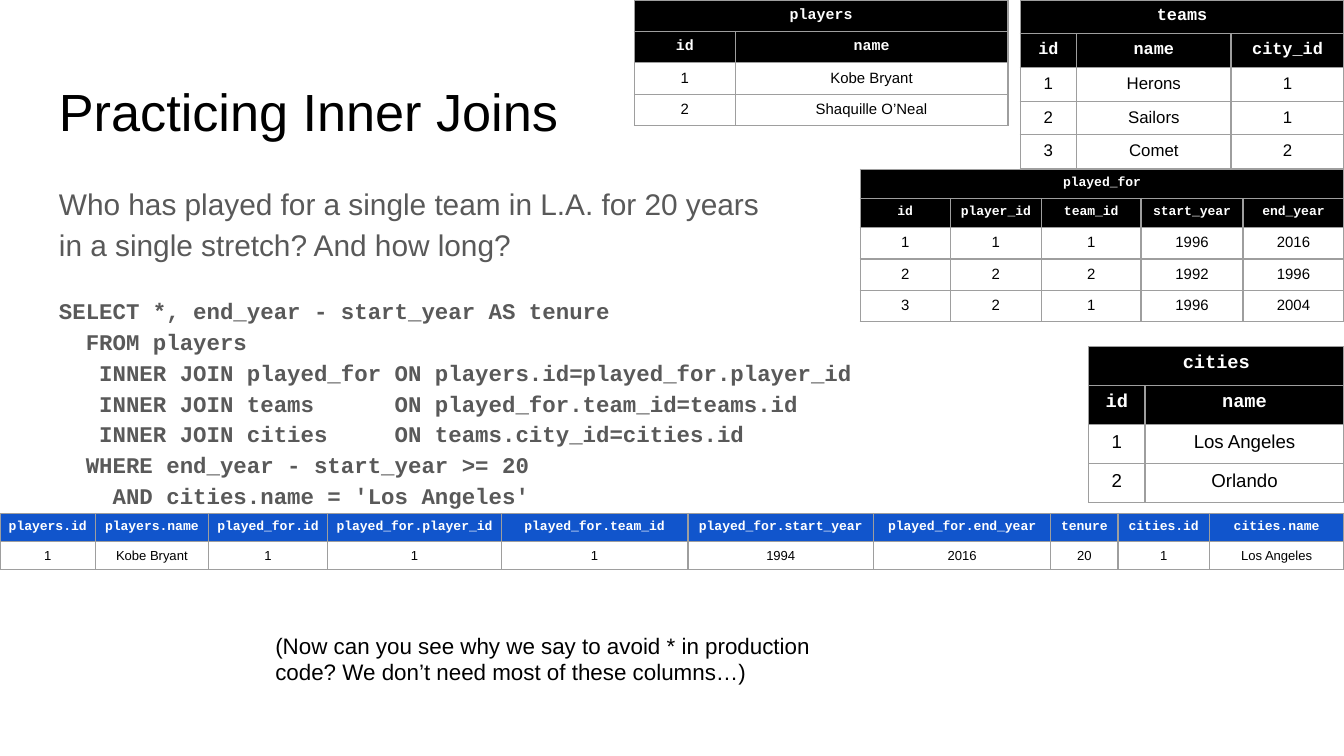
from copy import deepcopy

from pptx import Presentation
from pptx.dml.color import RGBColor
from pptx.enum.text import PP_ALIGN
from pptx.oxml import parse_xml
from pptx.oxml.ns import nsdecls, qn
from pptx.util import Inches, Pt

COLORS = {"black": "000000", "white": "FFFFFF", "gray": "595959",
          "blue": "1155CC", "edge": "9E9E9E"}
SANS, MONO = "Arial", "Courier New"


def write(frame, text, size=12, font=SANS, color="black", bold=False,
          align=PP_ALIGN.LEFT, space=None):
    """Fill a text frame with one paragraph; a newline breaks the line."""
    frame.word_wrap = True
    para = frame.paragraphs[0]
    para.text = text
    para.alignment = align
    if space:
        para.line_spacing = space
    for run in para.runs:
        run.font.size = Pt(size)
        run.font.name = font
        run.font.bold = bold
        run.font.color.rgb = RGBColor.from_string(COLORS[color])
    # Line breaks take the format of the text
    for stop in para._p.findall(qn("a:br")):
        stop.append(deepcopy(para.runs[0]._r.rPr))


class Deck:
    def __init__(self):
        self.prs = Presentation()
        self.prs.slide_width = Inches(10)
        self.prs.slide_height = Inches(10 * 9 / 16)
        self.slide = self.prs.slides.add_slide(self.prs.slide_layouts[6])

    def text(self, box, text, **style):
        frame = self.slide.shapes.add_textbox(*map(Inches, box)).text_frame
        frame.margin_left = frame.margin_right = Inches(0.1)
        frame.margin_top = frame.margin_bottom = Inches(0.1)
        write(frame, text, **style)

    def edge(self, cell):
        props = cell._tc.get_or_add_tcPr()
        for i, side in enumerate(("lnL", "lnR", "lnT", "lnB")):
            props.insert(i, parse_xml(
                f'<a:{side} {nsdecls("a")} w="{Pt(0.75)}"><a:solidFill>'
                f'<a:srgbClr val="{COLORS["edge"]}"/></a:solidFill></a:{side}>'))

    def table(self, box, cols, high, heads, rows, size,
              title=None, fill="black", body=None):
        """Draw a table; rows grow from the least height to fit the text."""
        lead = [[title] + [""] * (len(cols) - 1), heads] if title else [heads]
        data = lead + rows
        shape = self.slide.shapes.add_table(
            len(data), len(cols), *map(Inches, box))
        grid = shape.table
        grid.first_row = grid.horz_banding = False
        for col, width in zip(grid.columns, cols):
            col.width = Inches(width)
        for r, line in enumerate(data):
            grid.rows[r].height = Inches(high)
            head = r < len(lead)
            if head:
                style = dict(size=size, font=MONO, color="white", bold=True)
            else:
                style = dict(size=body or size)
            for c, value in enumerate(line):
                cell = grid.cell(r, c)
                write(cell.text_frame, value, align=PP_ALIGN.CENTER, **style)
                cell.margin_left = cell.margin_right = Inches(0.05)
                cell.margin_top = cell.margin_bottom = Inches(0.05)
                if head:
                    cell.fill.solid()
                    cell.fill.fore_color.rgb = RGBColor.from_string(COLORS[fill])
                else:
                    cell.fill.background()
                self.edge(cell)
        if title:
            grid.cell(0, 0).merge(grid.cell(0, len(cols) - 1))
        shape.height = Inches(box[3])


def main():
    deck = Deck()

    # Query result
    deck.table((0, 3.82, 10, 0.43),
               [0.71, 0.84, 0.89, 1.29, 1.39, 1.38, 1.32, 0.5, 0.68, 1], 0,
               ["players.id", "players.name", "played_for.id",
                "played_for.player_id", "played_for.team_id",
                "played_for.start_year", "played_for.end_year", "tenure",
                "cities.id", "cities.name"],
               [["1", "Kobe Bryant", "1", "1", "1", "1994", "2016", "20", "1",
                 "Los Angeles"]], 7, fill="blue")

    # Title and question
    deck.text((0.34, 0.49, 9.32, 0.63), "Practicing Inner Joins", size=28)
    deck.text((0.34, 1.24, 5.42, 0.68),
              "Who has played for a single team in L.A. for 20 years "
              "in a single stretch? And how long?",
              size=16, color="gray", space=1.15)

    # Source tables
    deck.table((7.59, 0, 2.41, 1.25), [0.42, 1.15, 0.84], 0.19,
               ["id", "name", "city_id"],
               [["1", "Herons", "1"], ["2", "Sailors", "1"], ["3", "Comet", "2"]],
               9, title="teams")
    deck.table((8.1, 2.58, 1.9, 1.15), [0.42, 1.48], 0.29, ["id", "name"],
               [["1", "Los Angeles"], ["2", "Orlando"]], 10, title="cities")
    deck.table((4.72, 0, 2.77, 0.93), [0.75, 2.03], 0.22, ["id", "name"],
               [["1", "Kobe Bryant"], ["2", "Shaquille O’Neal"]],
               8, title="players")
    deck.table((6.4, 1.26, 3.6, 1.13), [0.67, 0.68, 0.74, 0.76, 0.75], 0,
               ["id", "player_id", "team_id", "start_year", "end_year"],
               [["1", "1", "1", "1996", "2016"],
                ["2", "2", "2", "1992", "1996"],
                ["3", "2", "1", "1996", "2004"]],
               7, title="played_for", body=8)

    # SQL query
    query = """SELECT *, end_year - start_year AS tenure
  FROM players
   INNER JOIN played_for ON players.id=played_for.player_id
   INNER JOIN teams      ON played_for.team_id=teams.id
   INNER JOIN cities     ON teams.city_id=cities.id
  WHERE end_year - start_year >= 20
    AND cities.name = 'Los Angeles'"""
    deck.text((0.34, 2.08, 6.34, 1.42), query, font=MONO, color="gray",
              bold=True, space=1.15)

    # Closing remark
    deck.text((1.95, 4.6, 4.58, 0.85),
              "(Now can you see why we say to avoid * in production code? "
              "We don’t need most of these columns…)")

    deck.prs.save("out.pptx")


if __name__ == "__main__":
    main()
